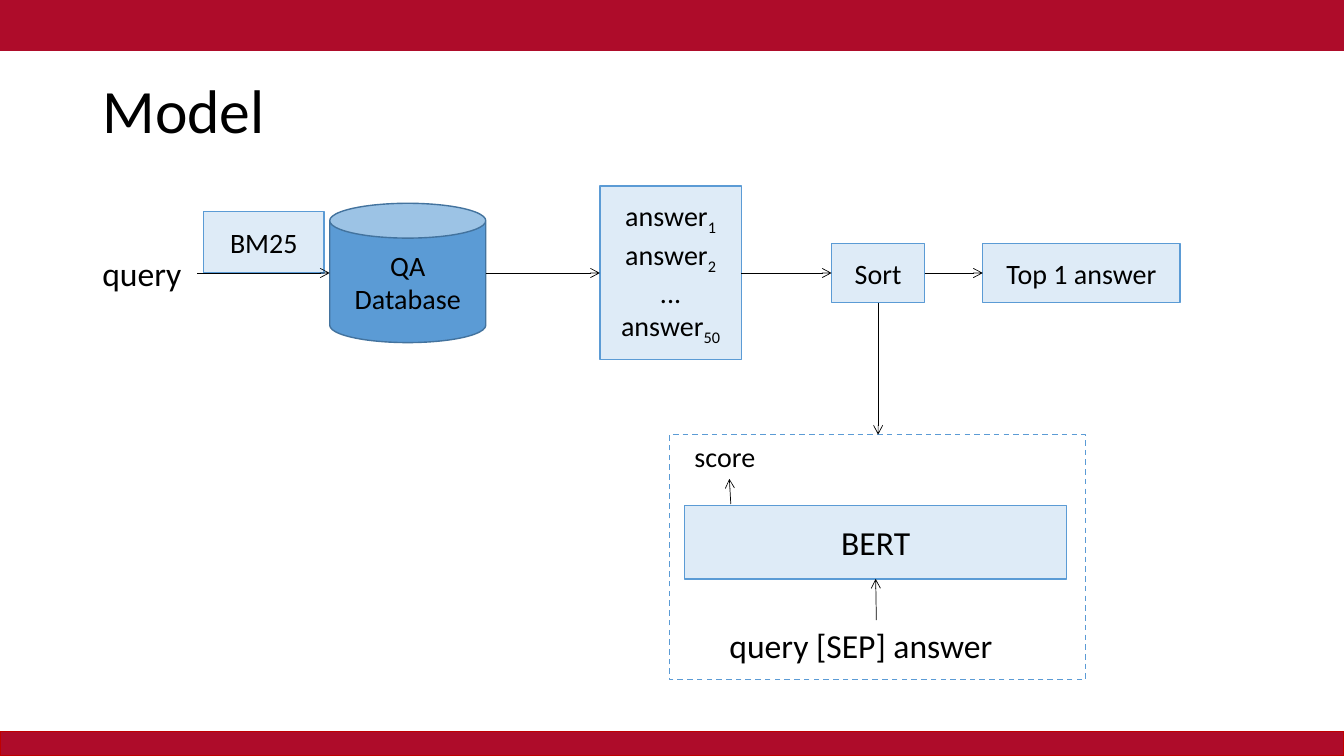
from lxml.etree import SubElement
from pptx import Presentation
from pptx.dml.color import RGBColor
from pptx.enum.dml import MSO_LINE
from pptx.enum.shapes import MSO_CONNECTOR, MSO_SHAPE
from pptx.enum.text import MSO_ANCHOR, PP_ALIGN
from pptx.oxml.ns import qn
from pptx.util import Pt

WIDTH, HEIGHT = 960, 540
FLOW_Y = 195
RED, DARK_RED, BLACK = "AE0C2A", "C00000", "000000"
PALE, BLUE, DARK_BLUE = "DEEBF7", "5B9BD5", "43739E"

TITLE = "Model"
BANDS = [(0, 36, RED), (522.72, 17.28, DARK_RED)]
ANSWERS = [[("answer", "1")], [("answer", "2")], [("...", "")], [("answer", "50")]]

STAGES = {
    "database": dict(text="QA Database", left=235.5, width=111.5, height=99.5,
                     preset=MSO_SHAPE.CAN, fill=BLUE, line=DARK_BLUE),
    "answers": dict(text=ANSWERS, left=428.5, width=101, height=124),
    "sort": dict(text="Sort", left=594, width=66.5, height=42.5),
    "top": dict(text="Top 1 answer", left=702, width=141, height=42.5),
}
BM25 = (145.5, 151, 86, 44)
SCORER = (478, 310.5, 297.5, 175)
BERT = (489, 361, 273, 52.5)
LABELS = [
    ("query", (66, 177, 75.5, 36), 24, True),
    ("query [SEP] answer", (514, 443, 224, 36), 24, True),
    ("score", (489, 310.5, 64, 31.5), 20, False),
]


def rgb(color):
    return RGBColor.from_string(color)


def write(shape, text, size=20, align=PP_ALIGN.CENTER, anchor=MSO_ANCHOR.MIDDLE,
          wrap=True, spacing=None):
    frame = shape.text_frame
    frame.word_wrap = wrap
    frame.vertical_anchor = anchor
    lines = [[(text, "")]] if isinstance(text, str) else text
    for number, pieces in enumerate(lines):
        paragraph = frame.add_paragraph() if number else frame.paragraphs[0]
        paragraph.alignment = align
        paragraph.line_spacing = spacing
        for base, subscript in pieces:
            for content, lowered in ((base, False), (subscript, True)):
                if not content:
                    continue
                run = paragraph.add_run()
                run.text = content
                run.font.name = "Calibri"
                run.font.size = Pt(size)
                run.font.color.rgb = rgb(BLACK)
                if lowered:
                    run.font._element.set("baseline", "-25000")


def add_box(slide, place, fill=PALE, line=BLUE, preset=MSO_SHAPE.RECTANGLE):
    box = slide.shapes.add_shape(preset, *map(Pt, place))
    box.shadow.inherit = False
    if fill:
        box.fill.solid()
        box.fill.fore_color.rgb = rgb(fill)
    else:
        box.fill.background()
    box.line.color.rgb = rgb(line)
    box.line.width = Pt(1)
    return box


def add_arrow(slide, start, end):
    arrow = slide.shapes.add_connector(MSO_CONNECTOR.STRAIGHT, *map(Pt, start + end))
    arrow.line.color.rgb = rgb(BLACK)
    arrow.line.width = Pt(0.5)
    SubElement(arrow.line._get_or_add_ln(), qn("a:tailEnd"), type="arrow")
    SubElement(arrow._element.spPr, qn("a:effectLst"))


def main():
    deck = Presentation()
    deck.slide_width, deck.slide_height = Pt(WIDTH), Pt(HEIGHT)
    slide = deck.slides.add_slide(deck.slide_layouts[5])

    title = slide.shapes.title
    title.left, title.top, title.width, title.height = map(Pt, (66, 28.75, 828, 104.4))
    write(title, TITLE, size=44, align=PP_ALIGN.LEFT, spacing=0.9)

    for top, height, outline in BANDS:
        add_box(slide, (0, top, WIDTH, height), fill=RED, line=outline)

    write(add_box(slide, BM25), "BM25")
    flow_start = 141
    for stage in STAGES.values():
        left, width, height = stage["left"], stage["width"], stage["height"]
        box = add_box(slide, (left, FLOW_Y - height / 2, width, height),
                      stage.get("fill", PALE), stage.get("line", BLUE),
                      stage.get("preset", MSO_SHAPE.RECTANGLE))
        write(box, stage["text"])
        add_arrow(slide, (flow_start, FLOW_Y), (left, FLOW_Y))
        flow_start = left + width

    add_box(slide, SCORER, fill=None).line.dash_style = MSO_LINE.DASH
    write(add_box(slide, BERT), "BERT", size=24)
    for text, place, size, wrap in LABELS:
        label = slide.shapes.add_textbox(*map(Pt, place))
        write(label, text, size=size, align=PP_ALIGN.LEFT, anchor=MSO_ANCHOR.TOP, wrap=wrap)

    sort = STAGES["sort"]
    sort_x = sort["left"] + sort["width"] / 2
    bert_x = BERT[0] + BERT[2] / 2
    add_arrow(slide, (sort_x, FLOW_Y + sort["height"] / 2), (sort_x, SCORER[1]))
    add_arrow(slide, (bert_x + 0.5, 443), (bert_x, BERT[1] + BERT[3]))
    add_arrow(slide, (522, 360), (521, 342))

    deck.save("out.pptx")


if __name__ == "__main__":
    main()
